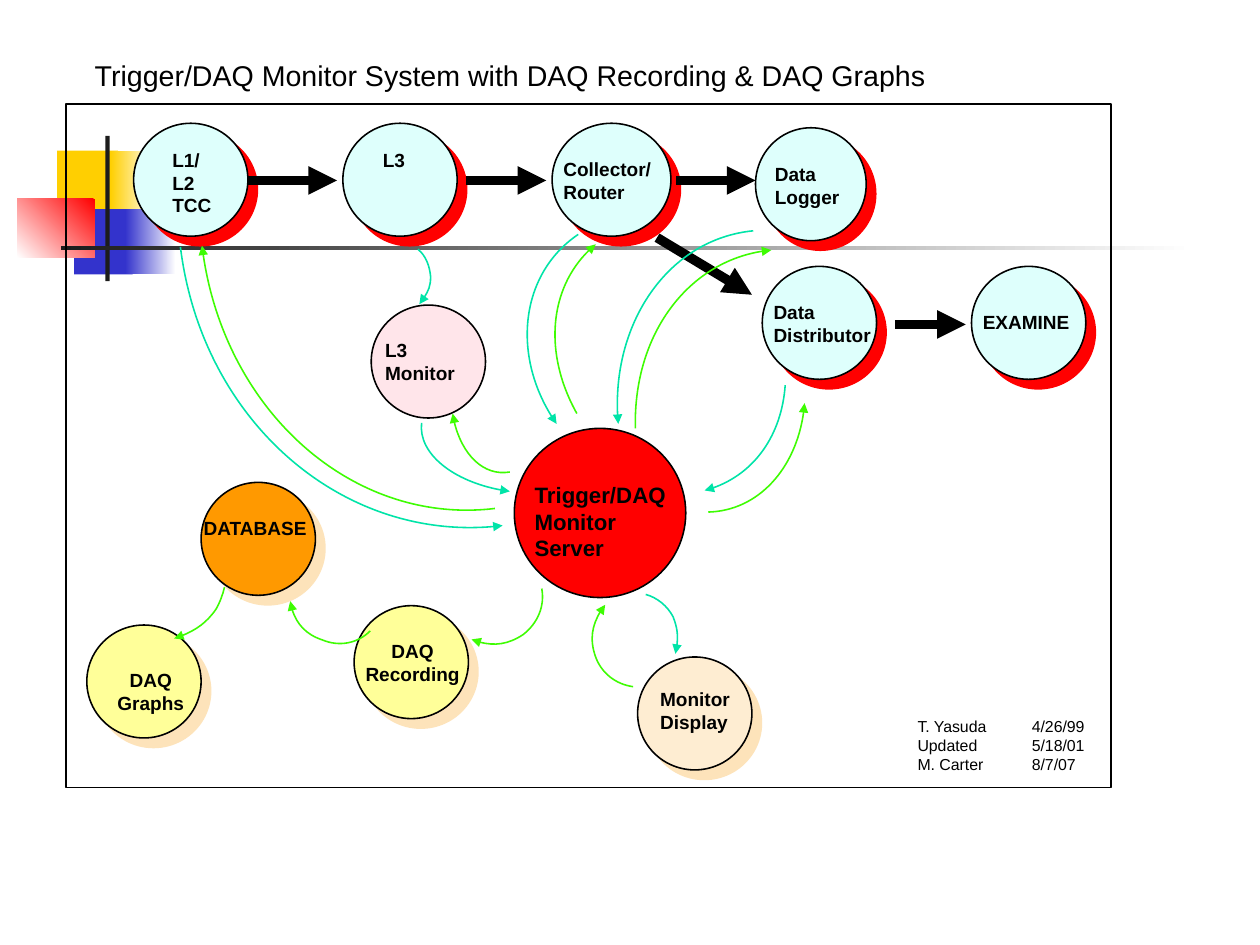
import pptx
import pptx.util
import pptx.dml.color
import pptx.enum.shapes
import pptx.enum.text
import pptx.oxml
import pptx.oxml.ns
import lxml.etree

Cm = pptx.util.Cm
Pt = pptx.util.Pt
RGB = pptx.dml.color.RGBColor
SHAPE = pptx.enum.shapes.MSO_SHAPE
ALIGN = pptx.enum.text.PP_ALIGN
AUTO = pptx.enum.text.MSO_AUTO_SIZE
qn = pptx.oxml.ns.qn

BLACK = RGB(0x00, 0x00, 0x00)
WHITE = RGB(0xFF, 0xFF, 0xFF)
CHARCOAL = RGB(0x1C, 0x1C, 0x1C)
RED = RGB(0xFF, 0x00, 0x00)
YELLOW = RGB(0xFF, 0xCF, 0x01)
BLUE = RGB(0x33, 0x33, 0xCC)
CYAN = RGB(0xDE, 0xFF, 0xFC)
PINK = RGB(0xFF, 0xE5, 0xEA)
CREAM = RGB(0xFE, 0xED, 0xD2)
SAND = RGB(0xFD, 0xE3, 0xBA)
LEMON = RGB(0xFF, 0xFF, 0x99)
ORANGE = RGB(0xFF, 0x99, 0x00)
TEAL = RGB(0x00, 0xE4, 0xA8)
GREEN = RGB(0x3E, 0xFC, 0x02)

NODE_W, NODE_H = 2.54, 2.51

DAQ_NODES = [
    ("L1/\nL2\nTCC", 1.5, 0.43, CYAN, RED, (0.61, 0.43, 1.42), {}),
    ("L3", 6.15, 0.43, CYAN, RED, (0.64, 0.43, 1.1), {}),
    ("Collector/\nRouter", 10.8, 0.43, CYAN, RED, (0, 0.64, 2.5), {"w": 2.64}),
    ("Data\nLogger", 15.32, 0.53, CYAN, RED, (0.18, 0.64, 2.05), {"w": 2.46}),
    ("Data\nDistributor", 15.47, 3.61, CYAN, RED, (0, 0.64, 2.75), {}),
    ("EXAMINE", 20.12, 3.61, CYAN, RED, (0, 0.86, 2.5), {}),
]
DATA_FLOWS = [
    (4.04, 1.7, 6.02, 1.7),
    (8.89, 1.7, 10.67, 1.7),
    (13.56, 1.7, 15.32, 1.7),
    (13.13, 2.97, 15.24, 4.24),
    (18.42, 4.9, 19.99, 4.9),
]
MONITOR_NODES = [
    ("Trigger/DAQ\nMonitor\nServer", 9.96, 7.21, RED, None, (0.2, 1.05, 3.5),
     {"w": 3.81, "h": 3.76, "size": 14}),
    ("L3\nMonitor", 6.78, 4.47, PINK, None, (0.06, 0.61, 2.12), {}),
    ("Monitor\nDisplay", 12.7, 12.29, CREAM, SAND, (0.25, 0.56, 2.12), {}),
    ("DAQ\nRecording", 6.4, 11.15, LEMON, SAND, (-0.05, 0.62, 2.7), {"align": ALIGN.CENTER}),
    ("DAQ\nGraphs", 0.46, 11.58, LEMON, SAND, (0.36, 0.84, 2.12), {"align": ALIGN.CENTER}),
    ("DATABASE", 3, 8.41, ORANGE, SAND, (-0.25, 0.64, 2.9), {"align": ALIGN.CENTER}),
]
MONITOR_FLOWS = {
    TEAL: [
        [(12.88, 10.9), (13.13, 10.97), (13.36, 11.15), (13.49, 11.4),
         (13.59, 11.66), (13.61, 11.94), (13.54, 12.22)],
        [(2.54, 3.18), (3.02, 7.04), (6.22, 9.8), (9.7, 9.37)],
        [(7.9, 7.09), (7.82, 7.77), (8.69, 8.46), (9.86, 8.61)],
        [(7.82, 3.23), (8, 3.38), (8.08, 3.61), (8.1, 3.84),
         (8.1, 4.06), (8, 4.27), (7.85, 4.45)],
        [(11.38, 2.9), (10.11, 3.76), (9.88, 5.66), (10.9, 7.11)],
        [(15.27, 2.82), (13.41, 3), (12.07, 4.93), (12.27, 7.11)],
        [(15.98, 6.25), (15.9, 7.37), (15.21, 8.33), (14.19, 8.59)],
    ],
    GREEN: [
        [(10.57, 10.77), (10.64, 11.15), (10.49, 11.53), (10.16, 11.79),
         (9.83, 12.01), (9.4, 12.07), (9.01, 11.9)],
        [(9.53, 8.99), (6.38, 9.37), (3.45, 6.76), (3.02, 3.15)],
        [(9.86, 8.18), (9.27, 8.28), (8.71, 7.7), (8.59, 6.88)],
        [(11.35, 6.88), (10.6, 5.54), (10.75, 3.95), (11.77, 3.12)],
        [(12.65, 7.21), (12.6, 5.11), (13.92, 3.4), (15.67, 3.25)],
        [(14.27, 9.07), (15.39, 9.04), (16.31, 8), (16.41, 6.65)],
        [(12.6, 12.95), (12.22, 12.9), (11.89, 12.65), (11.76, 12.27),
         (11.63, 11.89), (11.71, 11.46), (11.98, 11.13)],
        [(3.52, 10.74), (3.48, 10.91), (3.42, 11.07), (3.33, 11.23),
         (3.12, 11.53), (2.79, 11.76), (2.4, 11.88)],
        [(6.76, 11.71), (6.48, 11.99), (6.07, 12.07), (5.69, 11.91),
         (5.33, 11.79), (5.03, 11.46), (4.98, 11.05)],
    ],
}


def write(tf, text, size=12, bold=False, align=ALIGN.LEFT, wrap=True, auto=AUTO.NONE, tab=None):
    tf.word_wrap = wrap
    tf.auto_size = auto
    tf.vertical_anchor = pptx.enum.text.MSO_ANCHOR.TOP
    for i, line in enumerate(text.split("\n")):
        p = tf.paragraphs[0] if i == 0 else tf.add_paragraph()
        p.alignment = align
        if tab:
            tabs = lxml.etree.SubElement(p._p.get_or_add_pPr(), qn("a:tabLst"))
            lxml.etree.SubElement(tabs, qn("a:tab"), pos=str(Cm(tab)), algn="l")
        r = p.add_run()
        r.text = line
        r.font.name = "Arial"
        r.font.size = Pt(size)
        r.font.bold = bold
        r.font.color.rgb = BLACK


def add_text(s, text, x, y, w, h, **fmt):
    tb = s.shapes.add_textbox(Cm(x), Cm(y), Cm(w), Cm(h))
    write(tb.text_frame, text, **fmt)


def add_shape(s, kind, x, y, w, h, fill=None, line=None, fade=None):
    sp = s.shapes.add_shape(kind, Cm(x), Cm(y), Cm(w), Cm(h))
    sp.shadow.inherit = False
    if fill is None:
        sp.fill.background()
    elif fade is None:
        sp.fill.solid()
        sp.fill.fore_color.rgb = fill
    else:
        sp.fill.gradient()
        sp.fill.gradient_angle = fade
        for stop, color in zip(sp.fill.gradient_stops, (fill, WHITE)):
            stop.color.rgb = color
    if line is None:
        sp.line.fill.background()
    else:
        sp.line.color.rgb = line
        sp.line.width = Pt(1)
    return sp


def style_arrow(sp, color, width):
    sp.line.color.rgb = color
    sp.line.width = Pt(width)
    lxml.etree.SubElement(sp.element.spPr.find(qn("a:ln")), qn("a:tailEnd"), type="triangle")


def add_flow(s, x1, y1, x2, y2):
    straight = pptx.enum.shapes.MSO_CONNECTOR.STRAIGHT
    c = s.shapes.add_connector(straight, Cm(x1), Cm(y1), Cm(x2), Cm(y2))
    style_arrow(c, BLACK, 6)
    lxml.etree.SubElement(c.element.spPr, qn("a:effectLst"))


def add_curve(s, points, color):
    pts = [(Cm(x), Cm(y)) for x, y in points]
    fb = s.shapes.build_freeform(*pts[0])
    fb.add_line_segments(pts[1:], close=False)
    sp = fb.convert_to_shape()
    sp.shadow.inherit = False
    sp.fill.background()
    style_arrow(sp, color, 1)
    segments = sp.element.xpath(".//a:lnTo")
    outline = segments[0].getparent()
    for i in range(0, len(segments), 3):
        bezier = lxml.etree.SubElement(outline, qn("a:cubicBezTo"))
        for segment in segments[i:i + 3]:
            bezier.append(segment[0])
            outline.remove(segment)


def add_node(s, text, x, y, fill, shade, label, w=NODE_W, h=NODE_H, size=12, align=ALIGN.LEFT):
    sp = add_shape(s, SHAPE.OVAL, x, y, w, h, fill, BLACK)
    if shade is not None:
        effects = sp.element.spPr.find(qn("a:effectLst"))
        shadow = lxml.etree.SubElement(effects, qn("a:outerShdw"), dist=str(Pt(8.5)),
                                       dir="2700000", algn="ctr", rotWithShape="0")
        lxml.etree.SubElement(shadow, qn("a:srgbClr"), val=str(shade))
    dx, dy, tw = label
    th = 0.25 + 0.0425 * size * len(text.split("\n"))
    add_text(s, text, x + dx, y + dy, tw, th, size=size, bold=True, align=align,
             wrap=False, auto=AUTO.SHAPE_TO_FIT_TEXT)


def draw_title(s, x, y, w, h):
    t = s.shapes.title
    t.left, t.top, t.width, t.height = Cm(x), Cm(y), Cm(w), Cm(h)
    write(t.text_frame, "Trigger/DAQ Monitor System with DAQ Recording & DAQ Graphs", size=18)


def draw_motif(s, x, y, w, h):
    for dx, dy, pw, ph, color, fade in [
        (0.89, 0.33, 1.35, 1.45, YELLOW, None),
        (2.08, 0.33, 1.02, 1.45, YELLOW, 0),
        (1.27, 1.63, 1.3, 1.45, BLUE, None),
        (2.41, 1.63, 1.12, 1.45, BLUE, 0),
        (0, 1.4, 1.73, 1.3, RED, 225),
        (1.96, 0, 0.1, h, CHARCOAL, None),
        (0.97, 2.44, w - 0.97, 0.1, CHARCOAL, 0),
    ]:
        add_shape(s, SHAPE.RECTANGLE, x + dx, y + dy, pw, ph, color, fade=fade)


def draw_diagram(s, x, y, w, h):
    add_shape(s, SHAPE.RECTANGLE, x, y, w, h, line=BLACK)
    for text, dx, dy, fill, shade, label, fmt in DAQ_NODES + MONITOR_NODES:
        add_node(s, text, x + dx, y + dy, fill, shade, label, **fmt)
    for x1, y1, x2, y2 in DATA_FLOWS:
        add_flow(s, x + x1, y + y1, x + x2, y + y2)
    for color, curves in MONITOR_FLOWS.items():
        for points in curves:
            add_curve(s, [(x + dx, y + dy) for dx, dy in points], color)
    add_text(s, "T. Yasuda\t4/26/99\nUpdated\t5/18/01\nM. Carter\t8/7/07",
             x + w - 4.55, y + h - 1.7, 5.08, 1.52, size=10, tab=2.54)


def main():
    prs = pptx.Presentation()
    prs.slide_width, prs.slide_height = Cm(28), Cm(21)
    s = prs.slides.add_slide(prs.slide_layouts[5])
    draw_title(s, 1.85, 1.17, 22.73, 1.02)
    draw_motif(s, 0.38, 3.02, 26.16, 3.23)
    draw_diagram(s, 1.47, 2.31, 23.22, 15.19)
    prs.save("out.pptx")


if __name__ == "__main__":
    main()
